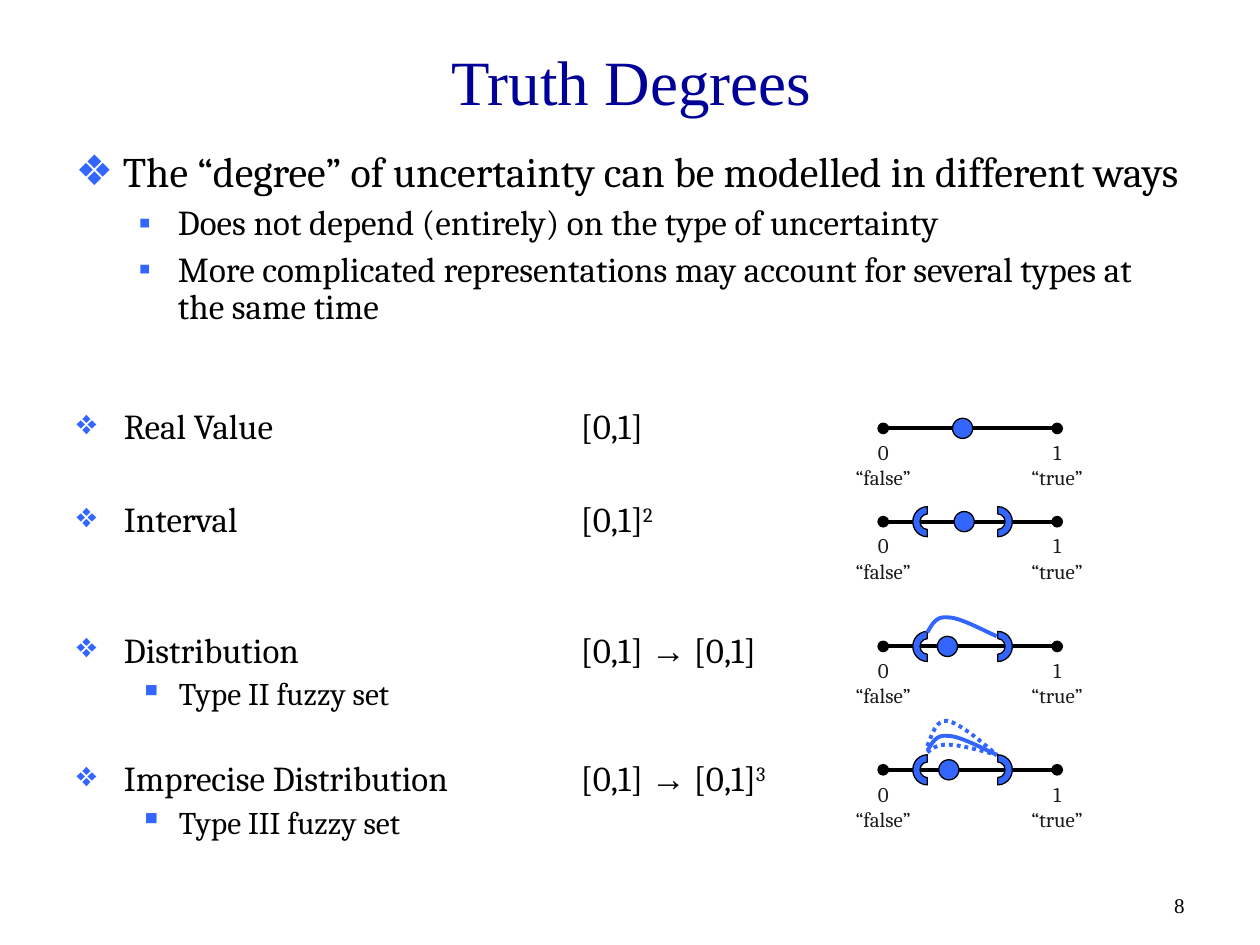
from lxml import etree
from pptx import Presentation
from pptx.dml.color import RGBColor
from pptx.enum.dml import MSO_LINE
from pptx.enum.shapes import MSO_CONNECTOR, MSO_SHAPE
from pptx.enum.text import MSO_ANCHOR, MSO_AUTO_SIZE, PP_ALIGN
from pptx.oxml.ns import qn
from pptx.util import Pt

STRAIGHT = MSO_CONNECTOR.STRAIGHT
OVAL, ARC = MSO_SHAPE.OVAL, MSO_SHAPE.BLOCK_ARC
DOTTED = MSO_LINE.ROUND_DOT
CENTER, RIGHT = PP_ALIGN.CENTER, PP_ALIGN.RIGHT
MIDDLE, BOTTOM, TOP = MSO_ANCHOR.MIDDLE, MSO_ANCHOR.BOTTOM, MSO_ANCHOR.TOP
NO_FIT = MSO_AUTO_SIZE.NONE

COLORS = {"title": "000099", "text": "000000", "label": "1C1C1C", "accent": "3366FF"}
SERIF, TIMES, SANS = "Cambria", "Times New Roman", "Arial"

LEVELS = [
    {"bullet": "❖", "margin": 27, "indent": -27},
    {"bullet": "▪", "margin": 58.5, "indent": -22.5},
]
TAB = 288

INTRO = [
    (0, 24, 6, ["The “degree” of uncertainty can be modelled in different ways"]),
    (1, 20, 5, ["Does not depend (entirely) on the type of uncertainty"]),
    (1, 20, 5, ["More complicated representations may account for several types at the same time"]),
]
DEGREES = [
    (0, 20, 5, ["Real Value\t[0,1]"]),
    (0, 20, 31.5, ["Interval\t[0,1]", "^2"]),
    (0, 20, 53, ["Distribution\t[0,1] ", "→", " [0,1]"]),
    (1, 18, 4.5, ["Type II fuzzy set"]),
    (0, 20, 28, ["Imprecise Distribution\t[0,1] ", "→", " [0,1]", "^3"]),
    (1, 18, 4.5, ["Type III fuzzy set"]),
]

AXIS_X = (504.7, 604.1)
ARC_X = (529.9, 570.2)
CURVE_X = (529.9, 532.8, 535, 541.4, 547.9, 558.7, 569.5)
CURVES = {
    "solid": (2.2, 7.2, 11.5, 10.8, 10.8, 5, 0),
    "low": (1.4, 3.6, 5.8, 5.8, 5.8, 2.9, 0),
    "high": (5, 12.2, 20.2, 19.4, 18, 9.4, 0),
}
DIAGRAMS = [
    {"y": 244.8, "dot": 550.1, "arcs": False, "rise": 0, "curves": []},
    {"y": 298.1, "dot": 551, "arcs": True, "rise": 0, "curves": []},
    {"y": 369.4, "dot": 541.4, "arcs": True, "rise": 5.8, "curves": ["solid"]},
    {"y": 439.9, "dot": 542.2, "arcs": True, "rise": 8.6, "curves": ["solid", "low", "high"]},
]


def apply(obj, **values):
    for name, value in values.items():
        setattr(obj, name, value)


def place(sp, x, y, w, h):
    apply(sp, left=Pt(x), top=Pt(y), width=Pt(w), height=Pt(h))


def rgb(name):
    return RGBColor.from_string(COLORS[name])


def add_run(p, text, size, color, font=SERIF):
    r = p.add_run()
    r.text = text
    apply(r.font, size=Pt(size), name=font)
    r.font.color.rgb = rgb(color)
    return r


def add_label(slide, x, y, w, h, lines, color, font, align, anchor, wrap):
    tf = slide.shapes.add_textbox(Pt(x), Pt(y), Pt(w), Pt(h)).text_frame
    apply(tf, word_wrap=wrap, vertical_anchor=anchor)
    for i, line in enumerate(lines):
        p = tf.add_paragraph() if i else tf.paragraphs[0]
        p.alignment = align
        add_run(p, line, 12, color, font)


def set_bullet(p, level):
    pPr = p._p.get_or_add_pPr()
    pPr.set("marL", str(Pt(level["margin"])))
    pPr.set("indent", str(Pt(level["indent"])))
    clr = etree.SubElement(pPr, qn("a:buClr"))
    etree.SubElement(clr, qn("a:srgbClr"), val=COLORS["accent"])
    etree.SubElement(pPr, qn("a:buChar"), char=level["bullet"])
    tabs = etree.SubElement(pPr, qn("a:tabLst"))
    etree.SubElement(tabs, qn("a:tab"), pos=str(Pt(TAB)), algn="l")


def fill_list(tf, items):
    apply(tf, word_wrap=True, auto_size=NO_FIT, vertical_anchor=TOP)
    for i, (level, size, before, parts) in enumerate(items):
        p = tf.add_paragraph() if i else tf.paragraphs[0]
        apply(p, level=level, line_spacing=0.9, space_before=Pt(before), alignment=PP_ALIGN.LEFT)
        set_bullet(p, LEVELS[level])
        for part in parts:
            r = add_run(p, part.lstrip("^"), size, "text", SANS if part == "→" else SERIF)
            if part.startswith("^"):
                r._r.get_or_add_rPr().set("baseline", "30000")


def add_marker(slide, kind, cx, cy, w, h):
    sp = slide.shapes.add_shape(kind, Pt(cx - w / 2), Pt(cy - h / 2), Pt(w), Pt(h))
    sp.shadow.inherit = False
    sp.fill.solid()
    sp.fill.fore_color.rgb = rgb("accent")
    sp.line.color.rgb = rgb("text")
    sp.line.width = Pt(0.75)
    return sp


def add_axis(slide, y):
    x0, x1 = AXIS_X
    cxn = slide.shapes.add_connector(STRAIGHT, Pt(x0), Pt(y), Pt(x1), Pt(y))
    cxn.line.color.rgb = rgb("text")
    cxn.line.width = Pt(2.25)
    for end in ("a:headEnd", "a:tailEnd"):
        etree.SubElement(cxn.line._get_or_add_ln(), qn(end), type="oval")
    etree.SubElement(cxn._element.spPr, qn("a:effectLst"))
    for x, lines in zip(AXIS_X, (["0", "“false”"], ["1", "“true”"])):
        add_label(slide, x - 25, y + 2.9, 50, 36, lines, "label", SERIF, CENTER, TOP, False)


def add_curve(slide, base, heights, dotted):
    points = [(Pt(x), Pt(base - h)) for x, h in zip(CURVE_X, heights)]
    builder = slide.shapes.build_freeform(*points[0])
    builder.add_line_segments(points[1:], close=False)
    sp = builder.convert_to_shape()
    sp.shadow.inherit = False
    sp.fill.background()
    sp.line.color.rgb = rgb("accent")
    sp.line.width = Pt(2.25)
    if dotted:
        sp.line.dash_style = DOTTED
    segments = list(sp._element.iter(qn("a:lnTo")))
    outline = segments[0].getparent()
    for i in range(0, len(segments), 3):
        bezier = etree.SubElement(outline, qn("a:cubicBezTo"))
        for segment in segments[i:i + 3]:
            bezier.append(segment[0])
            outline.remove(segment)


def add_diagram(slide, y, dot, arcs, rise, curves):
    add_axis(slide, y)
    if arcs:
        for x, angle in zip(ARC_X, (270, 90)):
            sp = add_marker(slide, ARC, x, y, 17.2, 16.6)
            sp.rotation = angle
            for i, value in enumerate((108, 0, 0.25)):
                sp.adjustments[i] = value
    for name in curves:
        add_curve(slide, y - rise, CURVES[name], name != "solid")
    add_marker(slide, OVAL, dot, y, 11.5, 11.5)


def main():
    prs = Presentation()
    apply(prs, slide_width=Pt(720), slide_height=Pt(540))
    slide = prs.slides.add_slide(prs.slide_layouts[1])

    title, body = slide.placeholders
    place(title, 36.7, 20.2, 648, 51)
    apply(title.text_frame, vertical_anchor=MIDDLE, auto_size=NO_FIT)
    p = title.text_frame.paragraphs[0]
    p.alignment = CENTER
    add_run(p, "Truth Degrees", 36, "title", TIMES)

    place(body, 36, 82.8, 648, 139)
    fill_list(body.text_frame, INTRO)

    for diagram in DIAGRAMS:
        add_diagram(slide, **diagram)

    degrees = slide.shapes.add_textbox(Pt(36.7), Pt(230.4), Pt(427.7), Pt(272))
    fill_list(degrees.text_frame, DEGREES)

    add_label(slide, 516.2, 491.8, 167.8, 36, ["8"], "text", TIMES, RIGHT, BOTTOM, True)
    prs.save("out.pptx")


if __name__ == "__main__":
    main()
